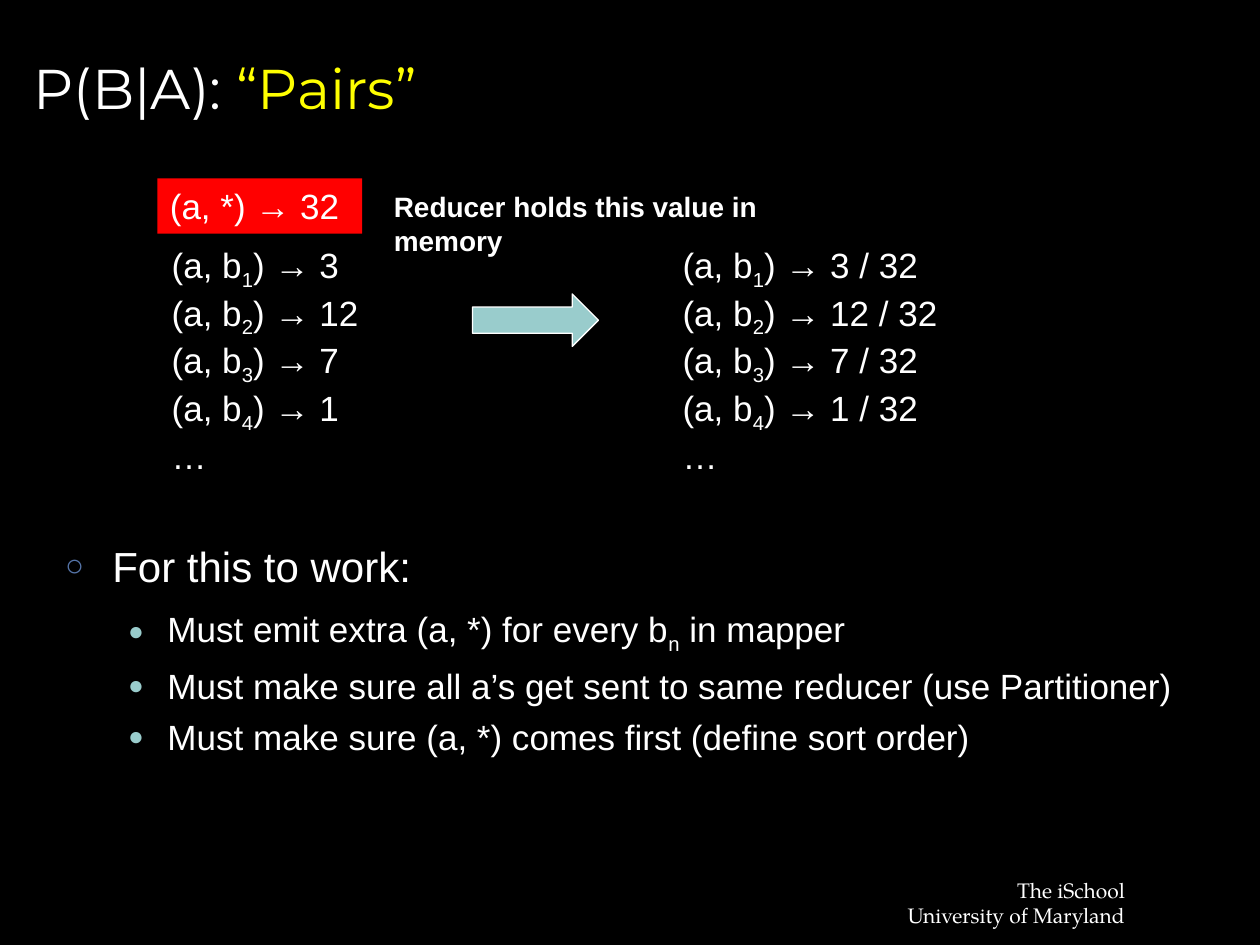
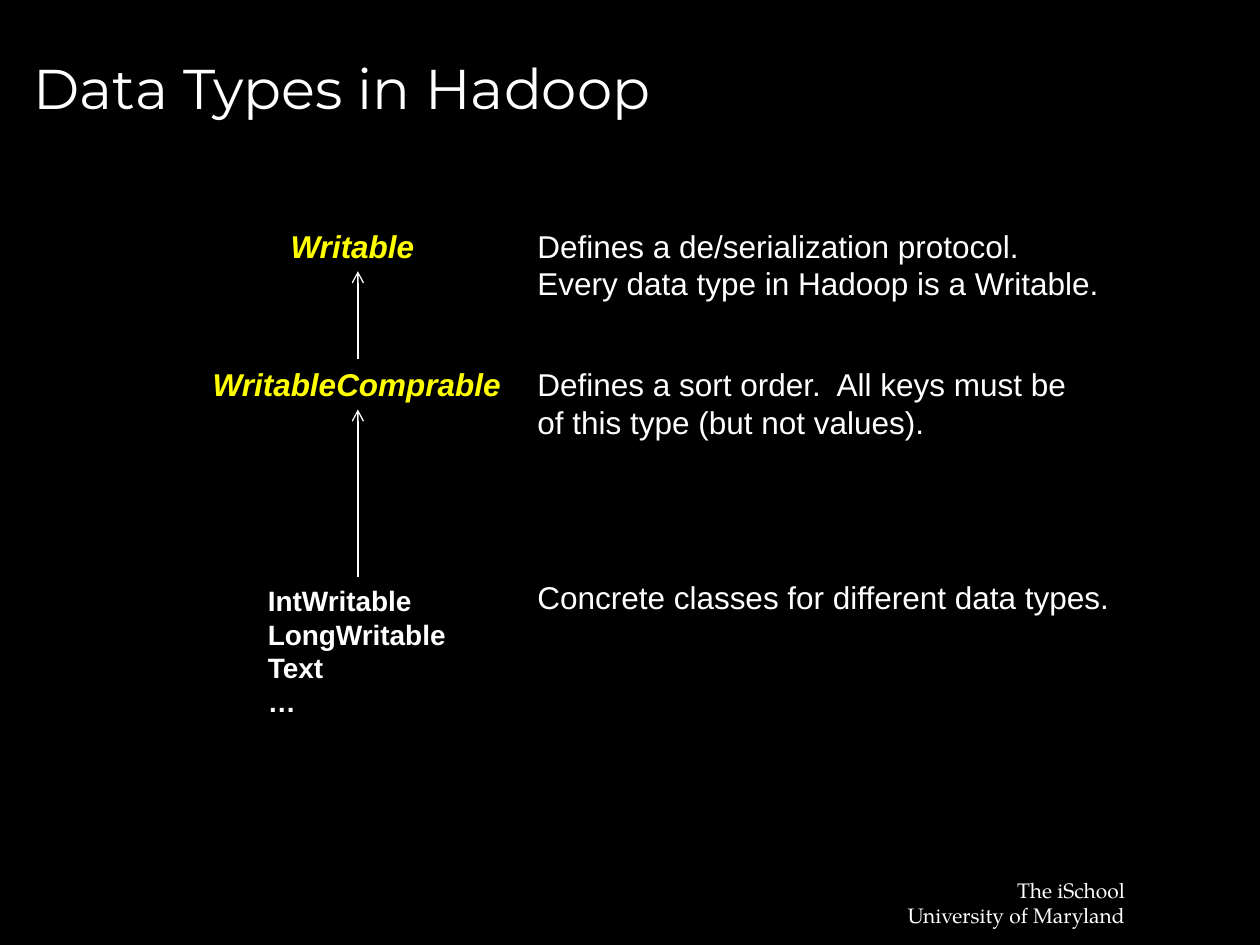
from lxml import etree
from pptx import Presentation
from pptx.dml.color import RGBColor
from pptx.enum.shapes import MSO_CONNECTOR, MSO_SHAPE
from pptx.enum.text import MSO_ANCHOR, MSO_AUTO_SIZE as AutoSize, PP_ALIGN
from pptx.oxml.ns import qn
from pptx.util import Pt

# Colours
BLACK = RGBColor(0x00, 0x00, 0x00)
WHITE = RGBColor(0xFF, 0xFF, 0xFF)
YELLOW = RGBColor(0xFF, 0xFF, 0x00)
RED = RGBColor(0xFF, 0x00, 0x00)
TEAL = RGBColor(0x99, 0xCC, 0xCC)
BLUE = RGBColor(0x56, 0x75, 0xA9)

# Text formats
TITLE = {"size": Pt(32), "name": "Montserrat", "bold": False}
FOOTER = {"size": Pt(12), "name": "TeX Gyre Pagella"}
HEADING = {"size": Pt(24), "name": "Arial"}
PAIR = {"size": Pt(20), "name": "Arial"}
DESCRIPTION = {"size": Pt(18), "name": "Arial"}
TYPE_NAME = {"size": Pt(18), "name": "Arial", "bold": True, "italic": True}
NOTE = {"size": Pt(16), "name": "Arial", "bold": True}


def write_text(paragraph, text, text_format, color=WHITE):
    """Add runs to a paragraph; parts between tildes become subscripts."""
    for index, part in enumerate(text.split("~")):
        run = paragraph.add_run()
        run.text = part
        for name, value in text_format.items():
            setattr(run.font, name, value)
        run.font.color.rgb = color
        if index % 2:
            run.font._element.set("baseline", "-25000")


def add_text(slide, box, lines, text_format, color=WHITE, wrap=False, align=PP_ALIGN.LEFT):
    """Add a text box with one paragraph for each line."""
    shape = slide.shapes.add_textbox(*map(Pt, box))
    frame = shape.text_frame
    frame.word_wrap = wrap
    frame.auto_size = AutoSize.SHAPE_TO_FIT_TEXT
    for index, line in enumerate(lines):
        paragraph = frame.add_paragraph() if index else frame.paragraphs[0]
        paragraph.alignment = align
        write_text(paragraph, line, text_format, color)
    return shape


presentation = Presentation()
presentation.slide_width, presentation.slide_height = Pt(720), Pt(540)

# Shared background, title and footer
slide_titles = [
    (1, [("P(B|A): ", WHITE), ("“Pairs”", YELLOW)]),
    (5, [("Data Types in Hadoop", WHITE)]),
]
for layout_index, title_parts in slide_titles:
    slide = presentation.slides.add_slide(presentation.slide_layouts[layout_index])
    slide.background.fill.solid()
    slide.background.fill.fore_color.rgb = BLACK
    title = slide.shapes.title
    title.left, title.top, title.width, title.height = map(Pt, (12, 9, 684, 81))
    title.text_frame.vertical_anchor = MSO_ANCHOR.MIDDLE
    title.text_frame.auto_size = AutoSize.NONE
    title_paragraph = title.text_frame.paragraphs[0]
    title_paragraph.alignment = PP_ALIGN.LEFT
    for text, color in title_parts:
        write_text(title_paragraph, text, TITLE, color)
    add_text(slide, (510.5, 498, 139.5, 36), ["The iSchool", "University of Maryland"],
             FOOTER, align=PP_ALIGN.RIGHT)

pairs_slide, types_slide = presentation.slides

# Pairs: requirements list
body = pairs_slide.placeholders[1]
body.left, body.top, body.width, body.height = map(Pt, (30, 305, 666, 181))
body.text_frame.auto_size = AutoSize.NONE
list_levels = [
    {"format": HEADING, "left": 27, "hanging": 27, "space": 7.5, "bullet": "○", "color": BLUE},
    {"format": PAIR, "left": 58.5, "hanging": 22.5, "space": 2.5, "bullet": "●", "color": TEAL},
]
requirements = [
    (0, "For this to work:"),
    (1, "Must emit extra (a, *) for every b~n~ in mapper"),
    (1, "Must make sure all a’s get sent to same reducer (use Partitioner)"),
    (1, "Must make sure (a, *) comes first (define sort order)"),
]
for index, (level, text) in enumerate(requirements):
    look = list_levels[level]
    paragraph = body.text_frame.add_paragraph() if index else body.text_frame.paragraphs[0]
    properties = paragraph._p.get_or_add_pPr()
    properties.set("marL", str(Pt(look["left"])))
    properties.set("indent", str(-Pt(look["hanging"])))
    bullet_color = etree.SubElement(properties, qn("a:buClr"))
    etree.SubElement(bullet_color, qn("a:srgbClr"), val=str(look["color"]))
    etree.SubElement(properties, qn("a:buSzPct"), val="75000")
    etree.SubElement(properties, qn("a:buFont"), typeface="Arial")
    etree.SubElement(properties, qn("a:buChar"), char=look["bullet"])
    paragraph.level = level
    paragraph.space_before = Pt(look["space"] if index else 0)
    paragraph.space_after = Pt(look["space"])
    write_text(paragraph, text, look["format"])

# Pairs: counts, total and relative frequencies
counts = [3, 12, 7, 1]
for left, width, divisor in [(91, 126.5, ""), (383, 160, " / 32")]:
    lines = [f"(a, b~{number}~) → {count}{divisor}" for number, count in enumerate(counts, 1)]
    add_text(pairs_slide, (left, 135.5, width, 140.5), lines + ["…"], PAIR)

total = add_text(pairs_slide, (90, 102, 117, 31.5), ["(a, *) → 32"], PAIR)
total.fill.solid()
total.fill.fore_color.rgb = RED
add_text(pairs_slide, (218, 105, 288, 26.5), ["Reducer holds this value in memory"], NOTE)

block_arrow = pairs_slide.shapes.add_shape(MSO_SHAPE.RIGHT_ARROW, *map(Pt, (270, 168, 72, 30)))
block_arrow.shadow.inherit = False
block_arrow.fill.solid()
block_arrow.fill.fore_color.rgb = TEAL
block_arrow.line.color.rgb = WHITE
block_arrow.line.width = Pt(0.75)

# Data types: class names
class_names = [
    ((159, 126, 90, 29), ["Writable"], TYPE_NAME, YELLOW),
    ((114.5, 205, 179.5, 29), ["WritableComprable"], TYPE_NAME, YELLOW),
    ((146, 330, 116, 84), ["IntWritable", "LongWritable", "Text", "…"], NOTE, WHITE),
]
for box, lines, text_format, color in class_names:
    add_text(types_slide, box, lines, text_format, color)

# Data types: descriptions
descriptions = [
    (126, 336, 50.5, "Defines a de/serialization protocol. Every data type in Hadoop is a Writable."),
    (205, 336, 50.5, "Defines a sort order.  All keys must be of this type (but not values)."),
    (327, 354, 29, "Concrete classes for different data types."),
]
for top, width, height, text in descriptions:
    add_text(types_slide, (300, top, width, height), [text], DESCRIPTION, wrap=True)

# Data types: inheritance arrows
for start, end in [(205, 155), (330, 234)]:
    arrow = types_slide.shapes.add_connector(
        MSO_CONNECTOR.STRAIGHT, Pt(204.5), Pt(start), Pt(204.5), Pt(end))
    arrow.line.color.rgb = WHITE
    arrow.line.width = Pt(0.75)
    etree.SubElement(arrow.line._get_or_add_ln(), qn("a:tailEnd"), type="arrow")
    etree.SubElement(arrow._element.spPr, qn("a:effectLst"))

presentation.save("out.pptx")
